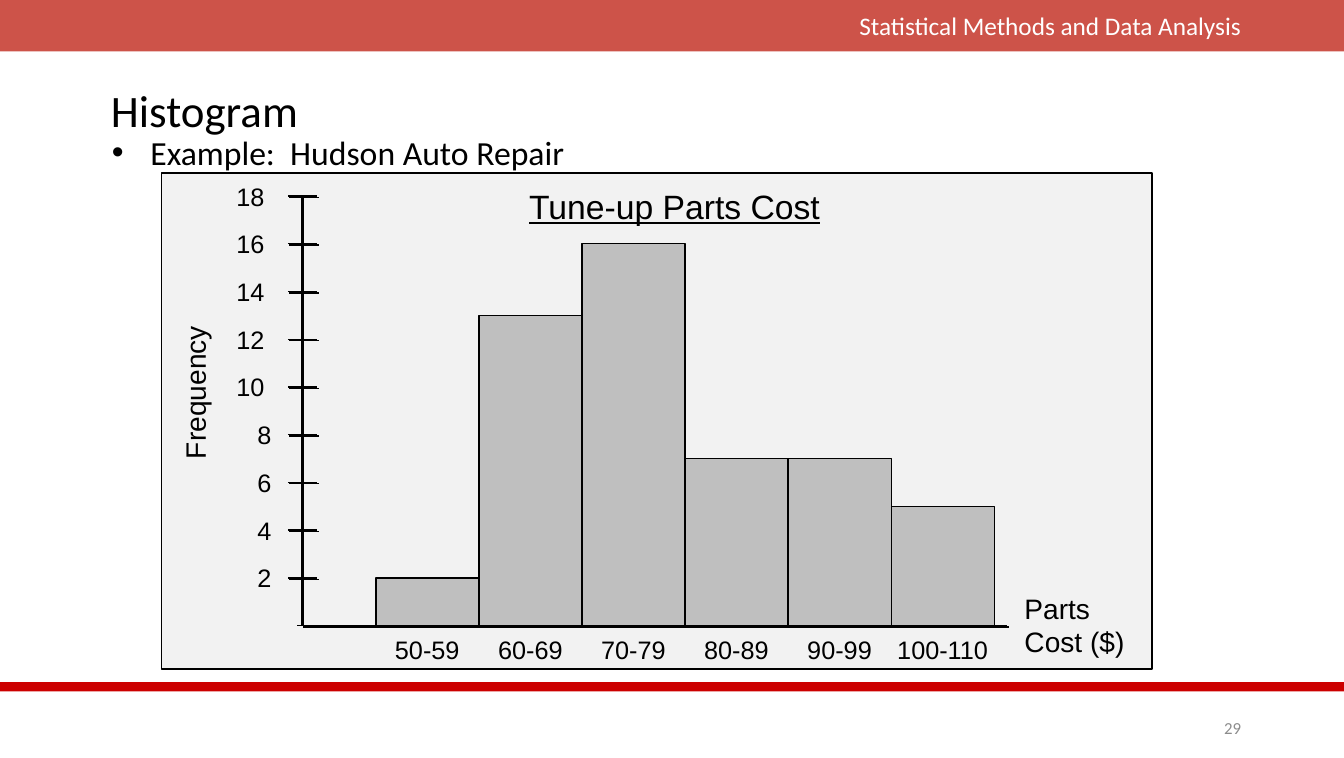
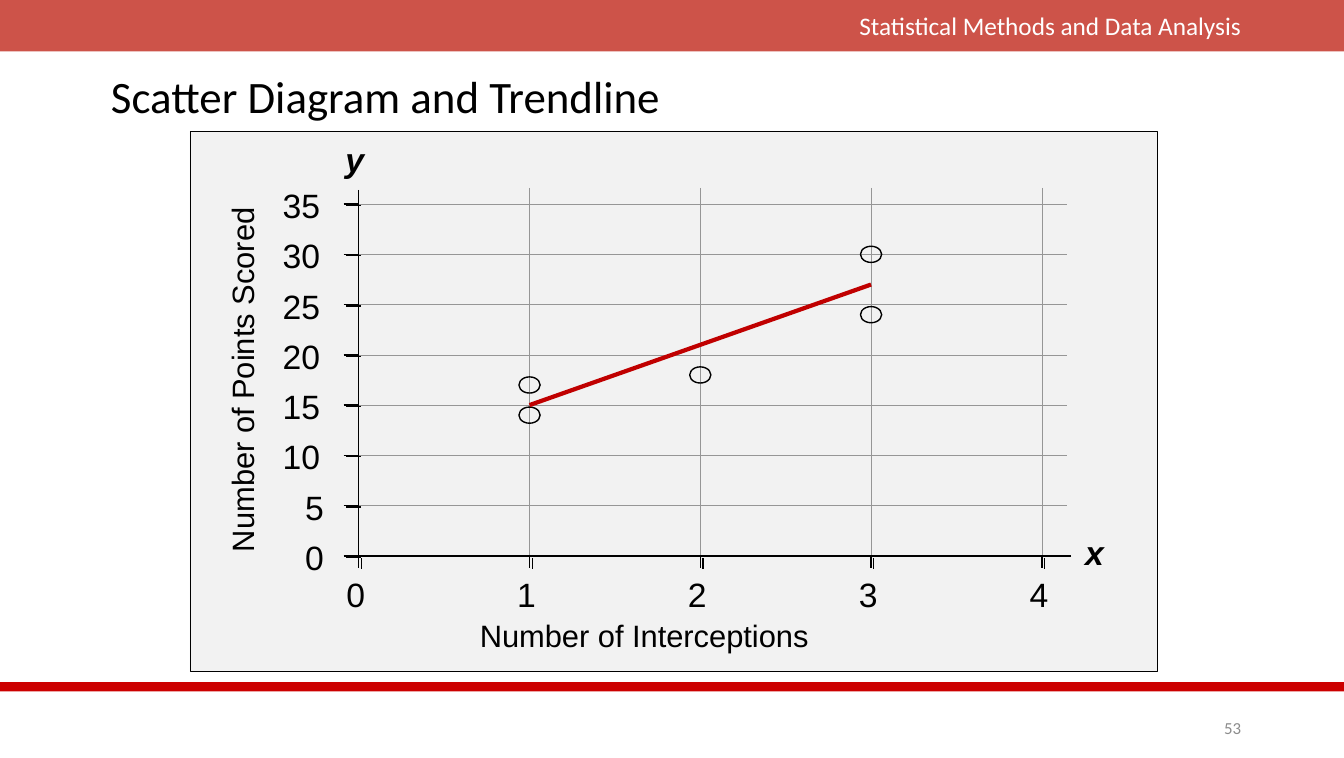
from dataclasses import dataclass

from lxml import etree
from pptx import Presentation
from pptx.dml.color import RGBColor
from pptx.enum.shapes import MSO_CONNECTOR, MSO_SHAPE
from pptx.enum.text import MSO_ANCHOR, PP_ALIGN
from pptx.oxml.ns import qn
from pptx.util import Inches, Pt

RECT, OVAL = MSO_SHAPE.RECTANGLE, MSO_SHAPE.OVAL
LINE = MSO_CONNECTOR.STRAIGHT
LEFT, MID, RIGHT = PP_ALIGN.LEFT, PP_ALIGN.CENTER, PP_ALIGN.RIGHT
TOP, CENTER = MSO_ANCHOR.TOP, MSO_ANCHOR.MIDDLE
WIDE, HIGH = 13.3, 7.5


@dataclass(frozen=True)
class Theme:
    ink: str = "000000"
    paper: str = "FFFFFF"
    band: str = "BF2317"
    rule: str = "CC0000"
    trend: str = "C00000"
    panel: str = "F2F2F2"
    bar: str = "BFBFBF"
    grid: str = "969696"
    muted: str = "8C8C8C"
    head: str = "Calibri"
    plot: str = "Arial"
    title: int = 32
    large: int = 24
    axis: int = 22
    unit: int = 20
    small: int = 18
    foot: int = 12


THEME = Theme()


def add(parent, tag, **attrs):
    """Append a drawing element to parent and return it."""
    node = etree.SubElement(parent, qn(tag))
    for key, value in attrs.items():
        node.set(key, str(value))
    return node


class Deck:
    def __init__(self, theme):
        self.theme = theme
        self.file = Presentation()
        self.file.slide_width = Inches(WIDE)
        self.file.slide_height = Inches(HIGH)
        self.slide = None

    def page(self, title, top, number, panel, edge):
        """Start a slide with its band, rule, chart panel, title and number."""
        t = self.theme
        self.slide = self.file.slides.add_slide(self.file.slide_layouts[6])
        self.shape(RECT, 0, 0, WIDE, 0.51, fill=t.band, alpha=78)
        self.text("Statistical Methods and Data Analysis", 6.05, 0.05, 6.33, 0.4,
                  font=t.head, color=t.paper, align=RIGHT)
        self.shape(RECT, 0, 6.75, WIDE, 0.09, fill=t.rule)
        self.shape(RECT, *panel, fill=t.panel, line=t.ink, weight=edge)
        self.text(title, 1, top, 11.4, 0.8, font=t.head, size=t.title,
                  anchor=CENTER, space=0.9)
        self.text(number, 11.7, 7.05, 0.68, 0.3, font=t.head, size=t.foot,
                  color=t.muted, align=RIGHT, anchor=CENTER)

    def shape(self, kind, x, y, w, h, fill=None, line=None, weight=1, alpha=None):
        item = self.slide.shapes.add_shape(
            kind, Inches(x), Inches(y), Inches(w), Inches(h))
        item.shadow.inherit = False
        if fill:
            item.fill.solid()
            item.fill.fore_color.rgb = RGBColor.from_string(fill)
        else:
            item.fill.background()
        if alpha:
            tint = item._element.spPr.find(qn("a:solidFill"))[0]
            add(tint, "a:alpha", val=alpha * 1000)
        if line:
            item.line.color.rgb = RGBColor.from_string(line)
            item.line.width = Pt(weight)
        else:
            item.line.fill.background()

    def line(self, x1, y1, x2, y2, color=None, weight=1, shade=None):
        """Draw a line; shade is the shadow's distance in points and its angle."""
        item = self.slide.shapes.add_connector(
            LINE, Inches(x1), Inches(y1), Inches(x2), Inches(y2))
        item.line.color.rgb = RGBColor.from_string(color or self.theme.ink)
        item.line.width = Pt(weight)
        effect = add(item._element.spPr, "a:effectLst")
        if shade:
            dist, angle = shade
            cast = add(effect, "a:outerShdw", dist=Pt(dist), dir=angle * 60000,
                       algn="ctr", rotWithShape=0)
            add(cast, "a:srgbClr", val=self.theme.ink)

    def text(self, words, x, y, w, h, font=None, size=None, color=None,
             align=LEFT, anchor=TOP, wrap=True, turn=0, space=None,
             bold=False, slant=False, under=False, bullet=False, tabs=()):
        t = self.theme
        box = self.slide.shapes.add_textbox(
            Inches(x), Inches(y), Inches(w), Inches(h))
        box.rotation = turn
        frame = box.text_frame
        frame.word_wrap = wrap
        frame.vertical_anchor = anchor
        frame.text = words
        for para in frame.paragraphs:
            props = para._p.get_or_add_pPr()
            para.alignment = align
            if space:
                para.line_spacing = space
            if bullet:
                props.set("marL", str(Inches(0.38)))
                props.set("indent", str(-Inches(0.38)))
                add(props, "a:buFont", typeface=t.plot)
                add(props, "a:buChar", char="•")
            if tabs:
                stops = add(props, "a:tabLst")
                for stop in tabs:
                    add(stops, "a:tab", pos=Inches(stop), algn="ctr")
            for run in para.runs:
                run.font.name = font or t.plot
                run.font.size = Pt(size or t.small)
                run.font.color.rgb = RGBColor.from_string(color or t.ink)
                run.font.bold, run.font.italic = bold, slant
                run.font.underline = under


def bars(deck):
    """Histogram of parts cost."""
    t = deck.theme
    deck.page("Histogram", 0.72, "29", (1.6, 1.71, 9.8, 4.91), 1)
    base, peak, axis = 6.19, 1.94, 2.99
    first, width = 3.72, 1.02
    shade = (1.4, 45)
    bins = {"50-59": 2, "60-69": 13, "70-79": 16,
            "80-89": 7, "90-99": 7, "100-110": 5}

    def level(count):
        return base - count * (base - peak) / 18

    for count in range(2, 19, 2):
        y = level(count)
        deck.line(2.85, y, 3.14, y, shade=shade)
        x, w = (2.45, 0.34) if count < 10 else (2.24, 0.48)
        deck.text(str(count), x, y - 0.2, w, 0.4, wrap=False)
    deck.line(axis, base, axis, peak, shade=shade)
    for i, count in enumerate(bins.values()):
        y = level(count)
        deck.shape(RECT, first + i * width, y, width, base - y,
                   fill=t.bar, line=t.ink)
    deck.line(axis, base, 9.97, base, shade=shade)
    deck.line(2.94, base, 3.07, base)

    left = 3.66
    stops = [first + (i + 0.5) * width - left - 0.1 for i in range(len(bins))]
    deck.text("\t" + "\t".join(bins), left, 6.23, 6.23, 0.4, tabs=stops)
    deck.text("Parts\nCost ($)", 10.04, 5.8, 1.2, 0.77, size=t.unit, wrap=False)
    deck.text("Frequency", 1.16, 3.66, 1.53, 0.43, size=t.unit,
              wrap=False, turn=270)
    deck.text("Tune-up Parts Cost", 4.5, 1.78, 4.35, 0.52, size=t.large,
              align=MID, anchor=CENTER, under=True)
    deck.text("Example:  Hudson Auto Repair", 1.01, 1.25, 8.02, 0.62,
              font=t.head, size=t.large, bullet=True)


def dots(deck):
    """Scatter diagram of points scored against interceptions."""
    t = deck.theme
    deck.page("Scatter Diagram and Trendline", 0.58, "53",
              (1.88, 1.3, 9.57, 5.34), 0.5)
    left, base = 3.55, 5.5
    shade = (2.2, 27)
    games = [(1, 14), (3, 24), (2, 18), (1, 17), (3, 30)]
    picks, scores = range(5), range(0, 36, 5)

    def across(pick):
        return left + pick * 1.69

    def level(score):
        return base - score * (base - 2.02) / 35

    for pick in picks[1:]:
        deck.line(across(pick), 1.86, across(pick), base, t.grid, 0.25)
    for score in scores[1:]:
        deck.line(left, level(score), 10.56, level(score), t.grid, 0.25)
    deck.line(left, 1.88, left, base)
    deck.line(10.6, base, left, base)

    for score in scores:
        y = level(score)
        deck.line(3.4, y, left, y, shade=shade)
        x, w = (2.92, 0.39) if score < 10 else (2.7, 0.57)
        deck.text(str(score), x, y - 0.24, w, 0.5, size=t.large, wrap=False)
    for pick in picks:
        x = across(pick)
        deck.line(x, 5.51, x, 5.62, shade=shade)
        deck.text(str(pick), x - 0.22, 5.63, 0.39, 0.5, size=t.large, wrap=False)

    for name, x, y in (("y", 3.32, 1.32), ("x", 10.64, 5.21)):
        deck.text(name, x, y, 0.39, 0.5, size=t.large, wrap=False,
                  bold=True, slant=True)
    deck.text("Number of Interceptions", 4.65, 6.05, 3.5, 0.47,
              size=t.axis, wrap=False)
    deck.text("Number of Points Scored", 0.57, 3.5, 3.65, 0.47,
              size=t.axis, wrap=False, turn=270)
    w, h = 0.21, 0.16
    for pick, score in games:
        deck.shape(OVAL, across(pick) - w / 2, level(score) - h / 2, w, h,
                   line=t.ink)
    deck.line(across(1), level(15), across(3), level(27), t.trend, 3)


def main():
    deck = Deck(THEME)
    bars(deck)
    dots(deck)
    deck.file.save("out.pptx")


if __name__ == "__main__":
    main()
